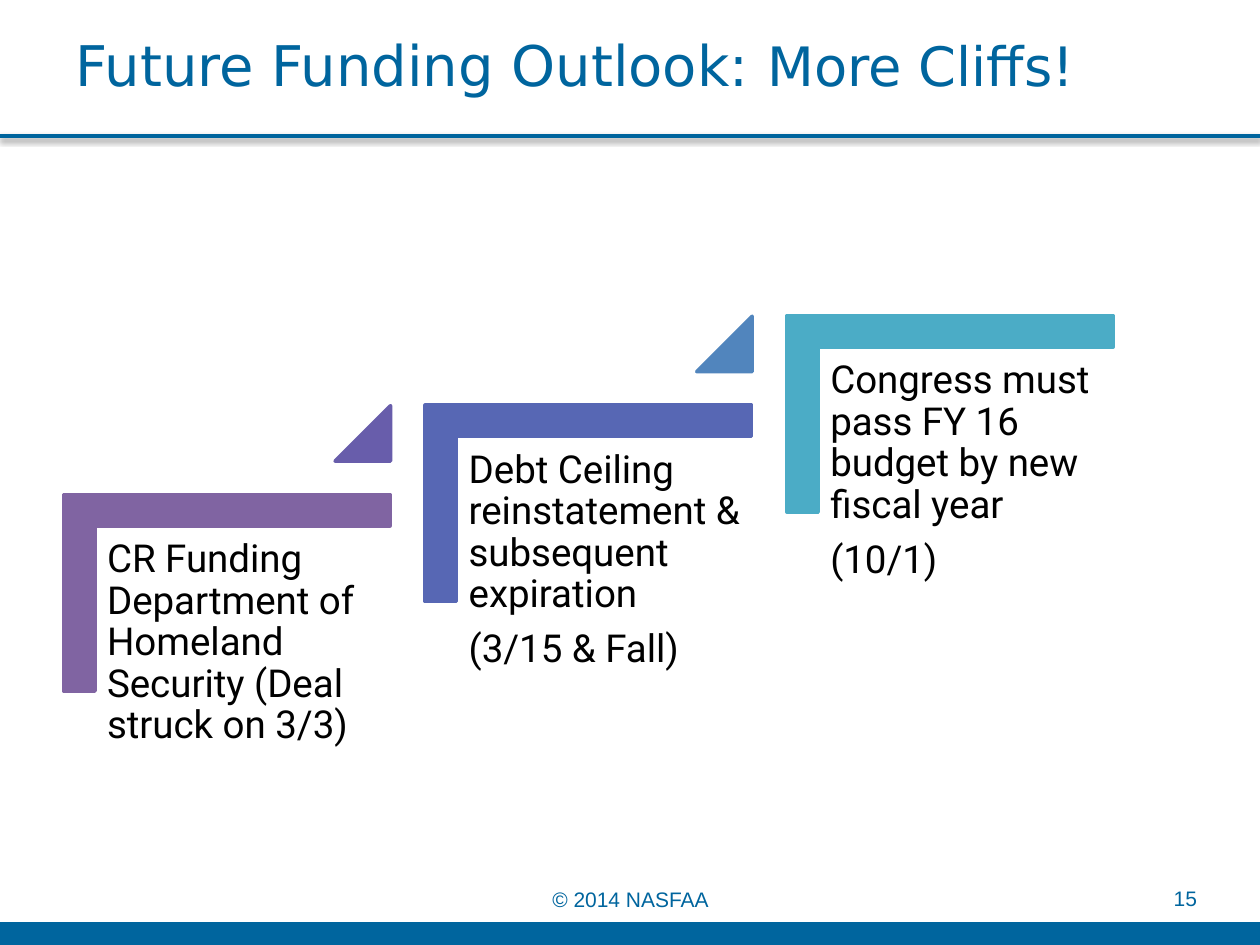
import dataclasses

import lxml.etree
import pptx
import pptx.dml.color
import pptx.enum.shapes
import pptx.enum.text
import pptx.oxml.ns
import pptx.util

Inches = pptx.util.Inches
Pt = pptx.util.Pt
Shape = pptx.enum.shapes.MSO_SHAPE
Align = pptx.enum.text.PP_ALIGN
Anchor = pptx.enum.text.MSO_ANCHOR


@dataclasses.dataclass(frozen=True)
class Theme:
    brand: str = "00659E"
    text: str = "000000"
    steps: tuple = ("8064A2", "5767B4", "4BACC6")
    markers: tuple = ("685DAB", "5185BD")
    title_font: str = "DejaVu Sans"
    body_font: str = "Roboto"
    footer_font: str = "Arial"
    title_size: float = 32
    title_end_size: float = 31
    body_size: float = 22
    footer_size: float = 12
    line_spacing: float = 0.9
    paragraph_gap: float = 7.7
    outline: float = 2
    rule: float = 2.25


def rgb(color):
    return pptx.dml.color.RGBColor.from_string(color)


def set_font(font, name, size, color):
    font.name = name
    font.size = Pt(size)
    font.color.rgb = rgb(color)


class SlideBuilder:
    """Holds the theme and the current slide, and adds elements to it."""

    def __init__(self, slide, theme):
        self.slide = slide
        self.theme = theme

    def title(self, parts, left, top, width, height):
        """Fill the title placeholder from (text, size) parts."""
        title = self.slide.shapes.title
        title.left, title.top = Inches(left), Inches(top)
        title.width, title.height = Inches(width), Inches(height)
        frame = title.text_frame
        frame.auto_size = pptx.enum.text.MSO_AUTO_SIZE.NONE
        frame.vertical_anchor = Anchor.TOP
        para = frame.paragraphs[0]
        para.alignment = Align.LEFT
        para.line_spacing = self.theme.line_spacing
        for text, size in parts:
            span = para.add_run()
            span.text = text
            set_font(span.font, self.theme.title_font, size, self.theme.brand)

    def rule(self, top, width):
        """Add a horizontal line with a soft shadow below it."""
        line = self.slide.shapes.add_connector(
            pptx.enum.shapes.MSO_CONNECTOR.STRAIGHT,
            0, Inches(top), Inches(width), Inches(top))
        line.line.color.rgb = rgb(self.theme.brand)
        line.line.width = Pt(self.theme.rule)
        qn = pptx.oxml.ns.qn
        properties = line._element.spPr
        effects = lxml.etree.SubElement(properties, qn("a:effectLst"))
        shadow = lxml.etree.SubElement(
            effects, qn("a:outerShdw"), blurRad=str(Pt(3)), dist=str(Pt(1.6)),
            dir="5400000", rotWithShape="0")
        color = lxml.etree.SubElement(shadow, qn("a:srgbClr"), val="000000")
        lxml.etree.SubElement(color, qn("a:alpha"), val="38000")

    def shape(self, kind, left, top, width, height, color, adjustments=(), rotation=0):
        shape = self.slide.shapes.add_shape(
            kind, Inches(left), Inches(top), Inches(width), Inches(height))
        shape.shadow.inherit = False
        shape.fill.solid()
        shape.fill.fore_color.rgb = rgb(color)
        shape.line.color.rgb = rgb(color)
        shape.line.width = Pt(self.theme.outline)
        shape.rotation = rotation
        for index, value in enumerate(adjustments):
            shape.adjustments[index] = value

    def text_box(self, left, top, width, height, inset, anchor):
        box = self.slide.shapes.add_textbox(
            Inches(left), Inches(top), Inches(width), Inches(height))
        frame = box.text_frame
        frame.word_wrap = True
        frame.vertical_anchor = anchor
        frame.margin_left = frame.margin_right = Inches(inset)
        frame.margin_top = frame.margin_bottom = Inches(inset)
        return frame

    def footer(self, text, left, top, width, height, alignment):
        frame = self.text_box(left, top, width, height, 0, Anchor.MIDDLE)
        para = frame.paragraphs[0]
        para.text = text
        para.alignment = alignment
        set_font(para.font, self.theme.footer_font, self.theme.footer_size, self.theme.brand)

    def body(self, lines, left, top, width, height):
        frame = self.text_box(left, top, width, height, 0.09, Anchor.TOP)
        for index, line in enumerate(lines):
            para = frame.add_paragraph() if index else frame.paragraphs[0]
            para.text = line
            para.line_spacing = self.theme.line_spacing
            para.space_after = Pt(self.theme.paragraph_gap)
            set_font(para.font, self.theme.body_font, self.theme.body_size, self.theme.text)

    def step(self, lines, left, top, color):
        """Add a bracket, turned from an upright corner shape, and its text."""
        self.shape(Shape.CORNER, left, top, 1.56, 2.59, color, (0.16, 0.16), 90)
        self.body(lines, left - 0.26, top + 0.78, 2.34, 2.05)


def main():
    theme = Theme()
    deck = pptx.Presentation()
    deck.slide_width, deck.slide_height = Inches(10), Inches(7.5)
    page = SlideBuilder(deck.slides.add_slide(deck.slide_layouts[5]), theme)

    page.rule(1.08, 10)
    page.footer("© 2014 NASFAA", 3.42, 6.99, 3.17, 0.29, Align.CENTER)
    page.footer("15", 7.17, 7.03, 2.33, 0.2, Align.RIGHT)
    page.shape(Shape.RECTANGLE, 0, 7.33, 10, 0.17, theme.brand)
    page.title(
        [("Future Funding Outlook: ", theme.title_size),
         ("More Cliffs!", theme.title_end_size)],
        0.5, 0.25, 8.33, 1.45)

    steps = [
        ["CR Funding Department of Homeland Security (Deal struck on 3/3)"],
        ["Debt Ceiling reinstatement & subsequent expiration", "(3/15 & Fall)"],
        ["Congress must pass FY 16 budget by new fiscal year", "(10/1)"],
    ]
    step_right, step_up = 2.87, 0.71
    for index, lines in enumerate(steps):
        left, top = 1.02 + index * step_right, 3.41 - index * step_up
        page.step(lines, left, top, theme.steps[index])
        if index < len(theme.markers):
            page.shape(Shape.ISOSCELES_TRIANGLE, left + 1.64, top - 0.19,
                       0.44, 0.44, theme.markers[index], (1,))

    deck.save("out.pptx")


if __name__ == "__main__":
    main()
